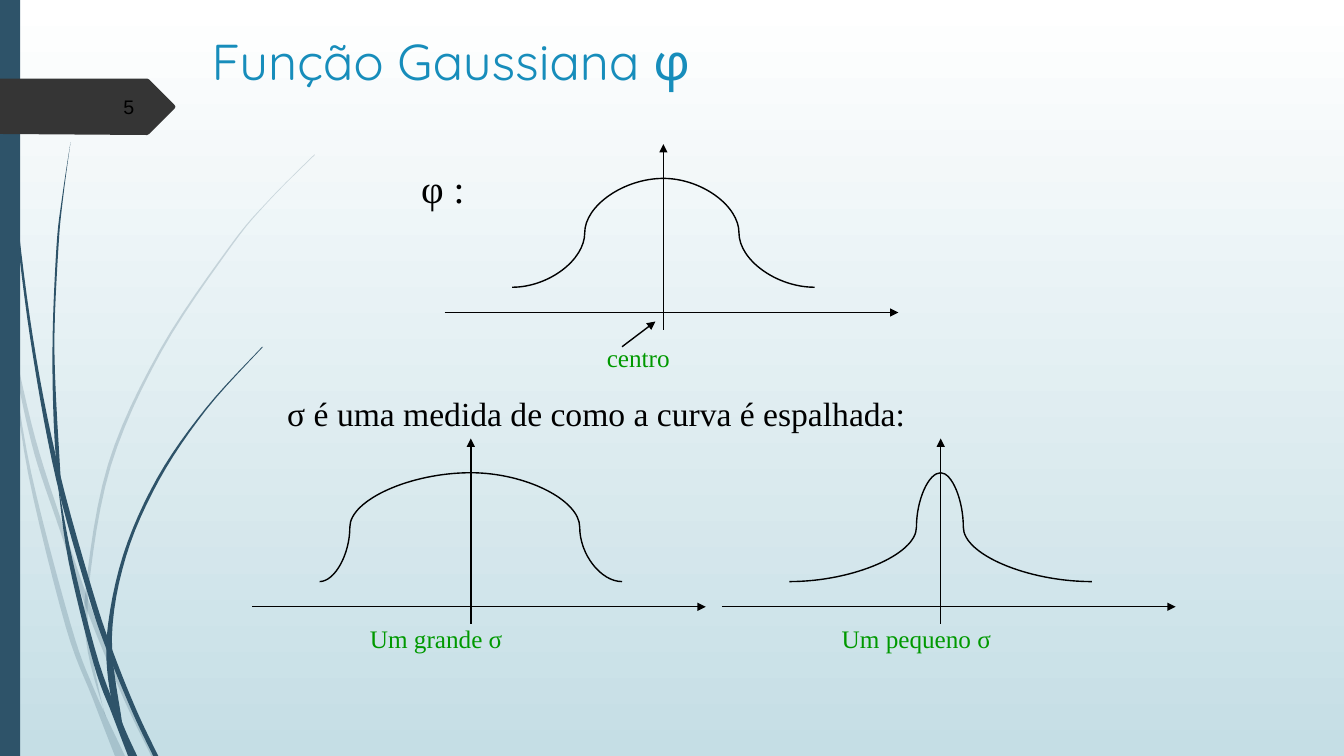
from dataclasses import dataclass

from lxml import etree
from pptx import Presentation
from pptx.dml.color import RGBColor
from pptx.enum import shapes, text
from pptx.oxml.ns import qn
from pptx.util import Inches, Pt

Point = tuple[float, float]
BLUE, DARK, BLACK, GREEN = "2E5369", "353535", "000000", "009900"
SERIF = "Times New Roman"


@dataclass
class Blade:
    outer: list[Point]
    inner: list[Point]
    opacity: int = 100


@dataclass
class Bell:
    center: float
    base: float
    left_bend: float
    right_bend: float


@dataclass
class Label:
    words: str
    left: float
    top: float
    width: float
    height: float
    size: int
    color: str


BLADES = [
    Blade([(0.14, 3.45), (0.35, 4.35), (0.62, 5.2), (0.92, 6.07), (1.27, 6.92), (1.55, 7.5)],
          [(1.5, 7.5), (1.23, 6.94), (0.88, 6.1), (0.58, 5.22), (0.34, 4.5), (0.17, 3.76)], 20),
    Blade([(0.11, 3.5), (0.31, 4.69), (0.7, 6.19), (0.93, 6.83), (1.24, 7.5)],
          [(1.14, 7.5), (0.92, 6.93), (0.65, 6.21), (0.28, 4.7), (0.11, 3.5)], 20),
    Blade([(3.12, 1.53), (2.68, 1.97), (2.28, 2.44), (1.58, 3.48), (1.07, 4.61),
           (0.85, 5.84), (0.87, 6.46), (1.05, 7.11)],
          [(1.03, 7.06), (0.91, 6.46), (0.88, 5.84), (1.1, 4.62), (1.6, 3.49),
           (2.29, 2.45), (2.68, 1.98), (3.12, 1.54)], 20),
    Blade([(0.04, 0), (0.08, 1.09), (0.19, 2.32), (0.36, 3.55), (0.6, 4.72),
           (0.93, 5.9), (1.13, 6.49), (1.36, 7.06), (1.57, 7.5)],
          [(1.52, 7.5), (1.32, 7.08), (1.06, 6.45), (0.88, 5.92), (0.56, 4.77),
           (0.33, 3.55), (0.17, 2.33), (0.07, 1.1), (0.03, 0)]),
    Blade([(0.57, 4.77), (0.72, 5.56), (0.98, 6.57), (1.22, 7.19), (1.36, 7.5)],
          [(1.27, 7.5), (1.11, 7.08), (0.93, 6.59), (0.68, 5.57), (0.57, 4.77)]),
    Blade([(0.7, 1.41), (0.62, 1.93), (0.56, 2.45), (0.52, 3.49), (0.55, 4.49), (0.64, 5.05)],
          [(0.6, 4.72), (0.54, 3.49), (0.58, 2.45), (0.63, 1.93), (0.7, 1.41)]),
    Blade([(2.6, 3.44), (2.04, 4.05), (1.56, 4.74), (1.22, 5.51), (1.06, 6.31),
           (1.1, 6.91), (1.22, 7.19)],
          [(1.21, 7.16), (1.11, 6.33), (1.25, 5.52), (1.58, 4.76), (2.05, 4.06), (2.61, 3.44)]),
]
TAG = [(0, 0.78), (1.46, 0.78), (1.48, 0.79), (1.73, 1.04), (1.74, 1.06),
       (1.73, 1.08), (1.48, 1.33), (1.46, 1.34), (0, 1.33)]
BELLS = [
    Bell(6.58, 3.1, 0.48, 0.5),
    Bell(4.67, 6.02, 0.2, 0.28),
    Bell(9.33, 6.02, 0.84, 0.85),
]
LABELS = [
    Label("centro", 5.92, 3.35, 0.83, 0.4, 18, GREEN),
    Label("φ :", 4.08, 1.58, 0.67, 0.57, 28, BLACK),
    Label("σ é uma medida de como a curva é espalhada:", 2.75, 3.85, 6.41, 0.5, 24, BLACK),
    Label("Um grande σ", 3.57, 6.13, 1.55, 0.4, 18, GREEN),
    Label("Um pequeno σ", 8.25, 6.13, 1.72, 0.4, 18, GREEN),
]


def rgb(value: str) -> RGBColor:
    return RGBColor.from_string(value)


def place(sp, left: float, top: float, width: float, height: float) -> None:
    sp.left, sp.top, sp.width, sp.height = map(Inches, (left, top, width, height))


def write(sp, words: str, *, font: str, size: int, color: str, wrap: bool = False,
          align=text.PP_ALIGN.LEFT, anchor=text.MSO_ANCHOR.TOP) -> None:
    tf = sp.text_frame
    tf.word_wrap = wrap
    tf.vertical_anchor = anchor
    p = tf.paragraphs[0]
    p.alignment = align
    r = p.add_run()
    r.text = words
    r.font.name, r.font.size, r.font.color.rgb = font, Pt(size), rgb(color)


def paint(sp, color: str, opacity: int = 100) -> None:
    sp.shadow.inherit = False
    sp.fill.solid()
    sp.fill.fore_color.rgb = rgb(color)
    sp.line.fill.background()
    if opacity < 100:
        tint = sp._element.spPr.find(qn("a:solidFill"))[0]
        etree.SubElement(tint, qn("a:alpha"), val=str(opacity * 1000))


def smooth(points: list[Point], steps: int = 6) -> list[Point]:
    padded = [points[0], *points, points[-1]]
    curve = []
    for a, b, c, d in zip(padded, padded[1:], padded[2:], padded[3:]):
        for step in range(steps):
            t = step / steps
            curve.append(tuple(
                q + t * (r - p) / 2 + t * t * (2 * p - 5 * q + 4 * r - w) / 2
                + t ** 3 * (3 * q - p - 3 * r + w) / 2
                for p, q, r, w in zip(a, b, c, d)))
    return curve + [points[-1]]


def add_outline(s, points: list[Point], color: str, opacity: int = 100) -> None:
    start, *rest = [(Inches(x), Inches(y)) for x, y in points]
    builder = s.shapes.build_freeform(*start)
    builder.add_line_segments(rest)
    paint(builder.convert_to_shape(), color, opacity)


def add_line(s, start: Point, end: Point, bend: float | None = None) -> None:
    kind = shapes.MSO_CONNECTOR.STRAIGHT if bend is None else shapes.MSO_CONNECTOR.CURVE
    line = s.shapes.add_connector(kind, *map(Inches, (*start, *end)))
    line.line.color.rgb = rgb(BLACK)
    line.line.width = Pt(1)
    pr = line._element.spPr
    if bend is None:
        etree.SubElement(pr.find(qn("a:ln")), qn("a:tailEnd"), type="triangle")
    else:
        guides = pr.find(qn("a:prstGeom")).find(qn("a:avLst"))
        etree.SubElement(guides, qn("a:gd"), name="adj1", fmla=f"val {round(bend * 100000)}")
    etree.SubElement(pr, qn("a:effectLst"))


def add_bell(s, bell: Bell) -> None:
    x, y = bell.center, bell.base
    add_line(s, (x - 2.17, y), (x + 2.33, y))
    add_line(s, (x, y + 0.17), (x, y - 1.67))
    for side, bend in ((-1.5, bell.left_bend), (1.5, bell.right_bend)):
        add_line(s, (x + side, y - 0.25), (x, y - 1.33), bend)


def main() -> None:
    prs = Presentation()
    prs.slide_width, prs.slide_height = Inches(13.33), Inches(7.5)
    s = prs.slides.add_slide(prs.slide_layouts[5])

    fill = s.background.fill
    fill.gradient()
    fill.gradient_angle = 270
    for stop, color in zip(fill.gradient_stops, ("FFFFFF", "C5DEE5")):
        stop.color.rgb = rgb(color)

    for blade in BLADES:
        add_outline(s, smooth(blade.outer) + smooth(blade.inner), BLUE, blade.opacity)
    bar = s.shapes.add_shape(shapes.MSO_SHAPE.RECTANGLE, 0, 0, Inches(0.2), Inches(7.5))
    paint(bar, BLUE)
    add_outline(s, TAG, DARK)

    number = s.shapes.add_textbox(0, 0, 0, 0)
    place(number, 0.58, 0.86, 0.85, 0.4)
    write(number, "5", font="Arial", size=14, color=BLACK, wrap=True,
          align=text.PP_ALIGN.RIGHT, anchor=text.MSO_ANCHOR.MIDDLE)

    title = s.shapes.title
    place(title, 2, 0.25, 9.31, 1.06)
    write(title, "Função Gaussiana φ", font="Quicksand", size=36, color="178DBB", wrap=True)

    for bell in BELLS:
        add_bell(s, bell)
    add_line(s, (6.17, 3.44), (6.5, 3.19))
    for label in LABELS:
        box = s.shapes.add_textbox(0, 0, 0, 0)
        place(box, label.left, label.top, label.width, label.height)
        write(box, label.words, font=SERIF, size=label.size, color=label.color)

    prs.save("out.pptx")


if __name__ == "__main__":
    main()
